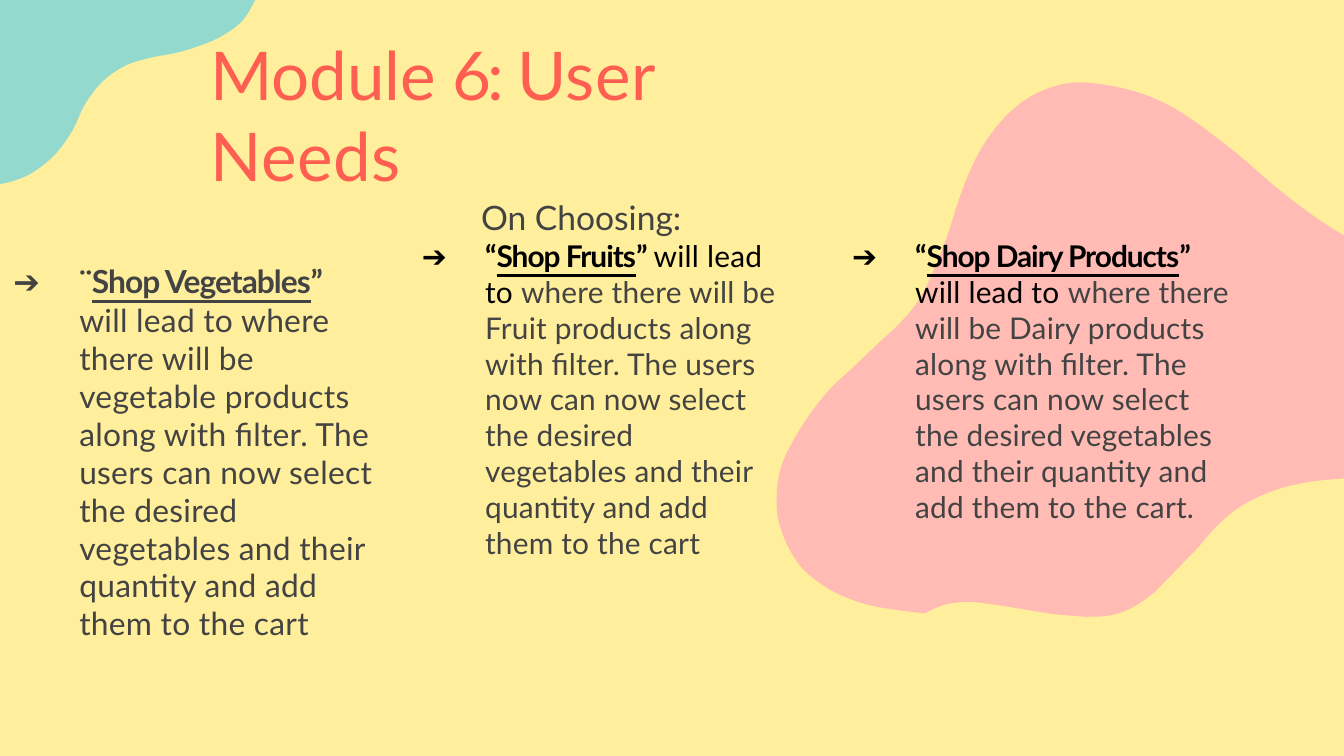
"""Build the user needs slide: three shopping columns over soft colour blobs."""
from lxml.etree import SubElement
from pptx import Presentation
from pptx.dml.color import RGBColor
from pptx.enum.shapes import MSO_SHAPE
from pptx.enum.text import MSO_AUTO_SIZE, MSO_UNDERLINE
from pptx.oxml.ns import qn
from pptx.util import Inches, Pt

THEME = {
    "font": "Lato", "cream": "FFEE9B", "pink": "FFBBB4", "mint": "93D9CE",
    "coral": "FF5F51", "grey": "434343", "black": "000000",
    "title": 36, "subtitle": 18, "large": 17, "body": 16,
    "tight": -0.55, "loose": 0.15,
}
WIDTH = 10
HEIGHT = WIDTH * 9 / 16
CURVE_STEPS = 4

TITLE = [("Module ", -0.1), ("6: ", -2.2), ("User Needs", 0.3)]
SUBTITLE = "On Choosing:"
TITLE_AREA = (1.56, 0.24, 4.8, 0.94)

COLUMNS = [
    {"area": (0.09, 1.94, 2.84, 2.56), "size": "large", "color": "grey", "indent": (0.5, 0.49),
     "leading": 20.3, "quote": "¨", "name": "Shop Vegetables", "lead": "", "split": True,
     "rest": "will lead to where there will be vegetable products along with ﬁlter. "
             "The users can now select the desired\vvegetables and their quantity "
             "and add them to the cart"},
    {"area": (3.13, 1.76, 2.74, 2.16), "size": "body", "color": "black", "indent": (0.48, 0.47),
     "leading": None, "quote": "“", "name": "Shop Fruits", "lead": "will lead to ", "split": False,
     "rest": "where there will be Fruit products along with ﬁlter. The users now can now "
             "select the desired\vvegetables and their quantity and add\vthem to the cart"},
    {"area": (6.33, 1.76, 2.84, 2.16), "size": "body", "color": "black", "indent": (0.48, 0.47),
     "leading": None, "quote": "“", "name": "Shop Dairy Products", "lead": "will lead to ",
     "split": False,
     "rest": "where there will be Dairy products along with ﬁlter. The users can now select\v"
             "the desired vegetables and their quantity and add them to the cart."},
]

BLOBS = [
    ("pink", [[
        [(9.74, 5.62), (8.97, 5.62)],
        [(8.97, 5.62), (8.73, 5.54), (8.5, 5.4), (8.31, 5.22), (8.08, 4.99), (7.85, 4.83),
         (7.6, 4.72), (7.33, 4.64), (7.01, 4.58), (6.68, 4.54), (6.42, 4.49), (6.18, 4.39),
         (5.98, 4.24), (5.86, 4.06), (5.79, 3.86), (5.78, 3.67), (5.81, 3.48), (5.89, 3.3),
         (6.02, 3.09), (6.18, 2.89), (6.34, 2.74), (6.54, 2.55), (6.71, 2.39), (6.85, 2.21),
         (6.96, 1.98), (7.05, 1.75), (7.14, 1.47), (7.24, 1.22), (7.37, 1), (7.53, 0.82),
         (7.72, 0.69), (7.94, 0.62), (8.14, 0.62), (8.41, 0.67), (8.65, 0.76), (8.87, 0.89),
         (9.2, 1.14), (9.49, 1.39), (9.75, 1.59), (9.93, 1.71), (10, 1.75)],
        [(10, 1.75), (10, 5.36)],
        [(10, 5.36), (9.74, 5.62)],
    ]]),
    ("cream", [[
        [(10, 4.59), (8.08, 4.59)],
        [(8.08, 4.59), (8.26, 4.58), (8.43, 4.52), (8.59, 4.41)],
        [(8.59, 4.41), (8.92, 4.07)],
        [(8.92, 4.07), (9.05, 3.92), (9.2, 3.79), (9.38, 3.69), (9.58, 3.62), (9.79, 3.58),
         (10, 3.56)],
    ], [
        [(10, HEIGHT), (5.4, HEIGHT)],
        [(5.4, HEIGHT), (5.57, 5.57), (5.78, 5.53), (5.99, 5.48), (6.17, 5.37), (6.3, 5.2),
         (6.4, 5.02), (6.53, 4.84), (6.7, 4.68), (6.89, 4.56)],
        [(6.89, 4.56), (7.03, 4.5), (7.21, 4.48), (7.4, 4.5), (7.59, 4.53), (7.84, 4.57),
         (8.08, 4.59)],
        [(8.08, 4.59), (10, 4.59)],
    ]]),
    ("mint", [[
        [(0, 1.37), (0, 0)],
        [(0, 0), (1.9, 0)],
        [(1.9, 0), (1.8, 0.16), (1.63, 0.28), (1.43, 0.36), (1.28, 0.4), (1.12, 0.43),
         (0.93, 0.49), (0.76, 0.61), (0.63, 0.78), (0.54, 0.97), (0.41, 1.15), (0.25, 1.28),
         (0.12, 1.34), (0, 1.37)],
    ]]),
]


def smooth(points):
    """Return a Catmull-Rom curve through the points."""
    padded = [points[0], *points, points[-1]]
    curve = [points[0]]
    for before, start, end, after in zip(padded, padded[1:], padded[2:], padded[3:]):
        for step in range(1, CURVE_STEPS + 1):
            t = step / CURVE_STEPS
            curve.append(tuple(
                0.5 * (2 * b + (c - a) * t + (2 * a - 5 * b + 4 * c - d) * t ** 2
                       + (3 * b - a - 3 * c + d) * t ** 3)
                for a, b, c, d in zip(before, start, end, after)))
    return curve


def paint(shape, color):
    """Give a shape a flat fill without line or shadow."""
    shape.shadow.inherit = False
    shape.fill.solid()
    shape.fill.fore_color.rgb = RGBColor.from_string(THEME[color])
    shape.line.fill.background()


def add_blob(page, color, outlines):
    """Draw closed outlines made of smooth stretches as one shape."""
    builder = None
    for outline in outlines:
        points = [(Inches(x), Inches(y)) for stretch in outline for x, y in smooth(stretch)]
        if builder is None:
            builder = page.shapes.build_freeform(*points[0], scale=1.0)
        else:
            builder.move_to(*points[0])
        builder.add_line_segments(points[1:], close=True)
    paint(builder.convert_to_shape(), color)


def add_box(page, area):
    """Add a wrapping text box and return its frame."""
    frame = page.shapes.add_textbox(*map(Inches, area)).text_frame
    frame.word_wrap = True
    frame.auto_size = MSO_AUTO_SIZE.SHAPE_TO_FIT_TEXT
    frame.margin_left = frame.margin_right = frame.margin_bottom = 0
    frame.margin_top = Inches(0.01)
    return frame


def add_span(para, text, size, color, spacing, bold=False, underline=None):
    """Add formatted text, turning vertical tabs into line breaks."""
    for index, part in enumerate(text.split("\v")):
        if index:
            para.add_line_break()
        span = para.add_run()
        span.text = part
        span.font.name = THEME["font"]
        span.font.size = Pt(THEME[size])
        span.font.color.rgb = RGBColor.from_string(THEME[color])
        span.font.bold, span.font.underline = bold, underline
        span._r.get_or_add_rPr().set("spc", str(round(spacing * 100)))


def indent(para, left, hanging=0):
    """Set the left margin and hanging indent of a paragraph."""
    properties = para._p.get_or_add_pPr()
    properties.set("marL", str(Inches(left)))
    properties.set("indent", str(-Inches(hanging)))
    return properties


def add_column(page, column):
    """Add one arrow-bulleted column."""
    frame = add_box(page, column["area"])
    para = frame.paragraphs[0]
    if column["leading"]:
        para.line_spacing = Pt(column["leading"])
    left, hanging = column["indent"]
    properties = indent(para, left, hanging)
    SubElement(properties, qn("a:buFont")).set("typeface", THEME["font"])
    SubElement(properties, qn("a:buChar")).set("char", "➔")
    size, color = column["size"], column["color"]
    tight, loose = THEME["tight"], THEME["loose"]
    add_span(para, column["quote"], size, color, tight, bold=True)
    add_span(para, column["name"], size, color, tight, True, MSO_UNDERLINE.HEAVY_LINE)
    add_span(para, "”" if column["split"] else "” ", size, color, tight, bold=True)
    if column["split"]:
        para = frame.add_paragraph()
        para.line_spacing, para.space_before = Pt(column["leading"]), Pt(0.7)
        indent(para, left)
    if column["lead"]:
        add_span(para, column["lead"], size, color, loose)
    add_span(para, column["rest"], size, "grey", loose)


def add_title(page):
    """Add the title and the line that introduces the columns."""
    frame = add_box(page, TITLE_AREA)
    para = frame.paragraphs[0]
    indent(para, 0.01)
    for text, spacing in TITLE:
        add_span(para, text, "title", "coral", spacing)
    para = frame.add_paragraph()
    para.space_before = Pt(1)
    indent(para, 2.02)
    add_span(para, SUBTITLE, "subtitle", "grey", 0)


def main():
    """Assemble and save the deck."""
    deck = Presentation()
    deck.slide_width, deck.slide_height = Inches(WIDTH), Inches(HEIGHT)
    page = deck.slides.add_slide(deck.slide_layouts[6])
    paint(page.shapes.add_shape(MSO_SHAPE.RECTANGLE, 0, 0, deck.slide_width, deck.slide_height),
          "cream")
    for color, outlines in BLOBS:
        add_blob(page, color, outlines)
    add_title(page)
    for column in COLUMNS:
        add_column(page, column)
    deck.save("out.pptx")


if __name__ == "__main__":
    main()
